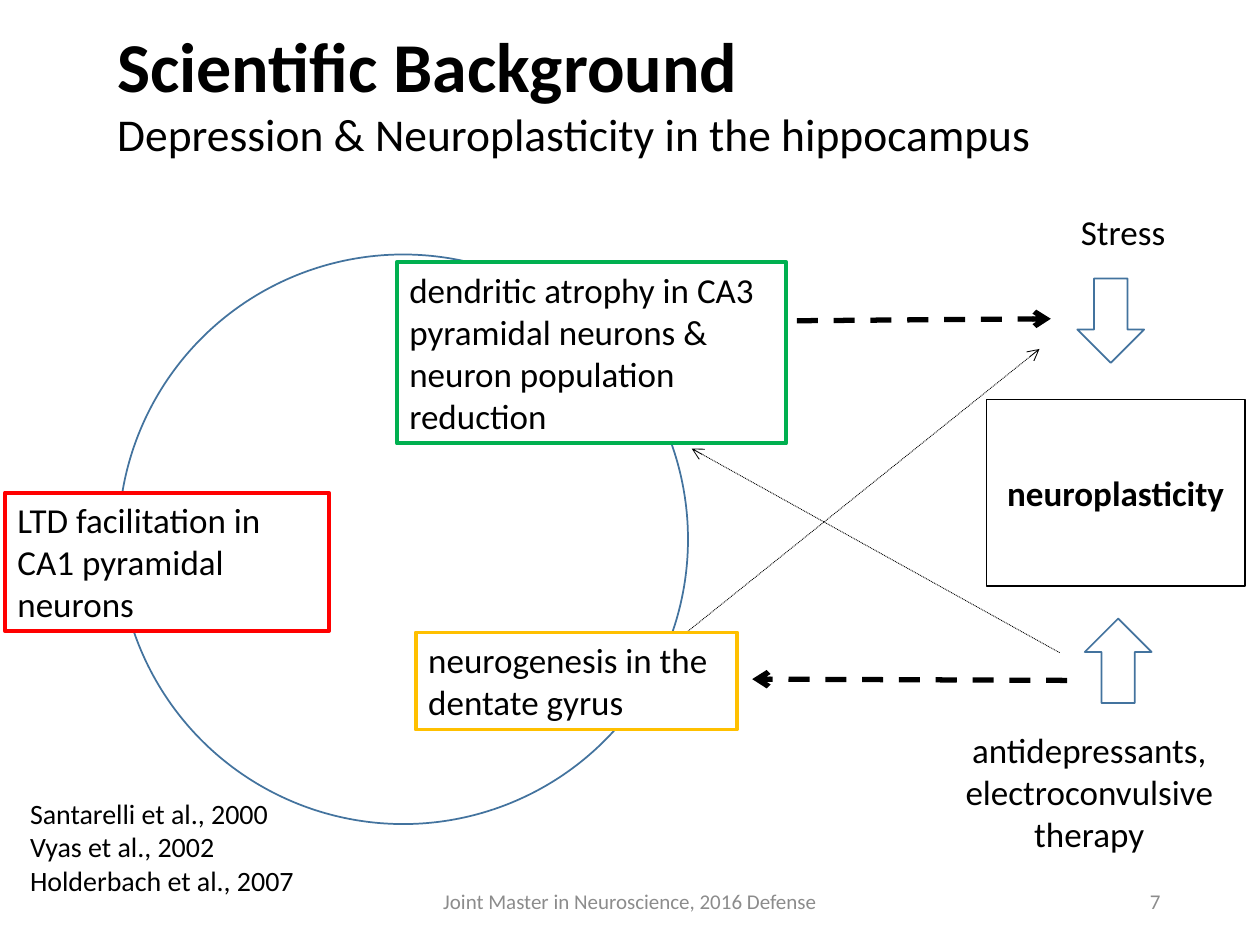
from dataclasses import dataclass

from lxml import etree
from pptx import Presentation
from pptx.dml.color import RGBColor
from pptx.enum.dml import MSO_LINE
from pptx.enum.shapes import MSO_CONNECTOR, MSO_SHAPE
from pptx.enum.text import MSO_ANCHOR, MSO_AUTO_SIZE, PP_ALIGN
from pptx.oxml.ns import qn
from pptx.util import Inches, Pt

LEFT, CENTER, RIGHT = PP_ALIGN.LEFT, PP_ALIGN.CENTER, PP_ALIGN.RIGHT
TOP, MIDDLE = MSO_ANCHOR.TOP, MSO_ANCHOR.MIDDLE
GROW, FIXED = MSO_AUTO_SIZE.SHAPE_TO_FIT_TEXT, MSO_AUTO_SIZE.NONE
DASH, DOT = MSO_LINE.DASH, MSO_LINE.ROUND_DOT
RECT, OVAL, ARROW = MSO_SHAPE.RECTANGLE, MSO_SHAPE.OVAL, MSO_SHAPE.UP_ARROW
STRAIGHT = MSO_CONNECTOR.STRAIGHT


@dataclass
class Theme:
    font: str = "Calibri"
    ink: str = "000000"
    paper: str = "FFFFFF"
    gray: str = "8C8C8C"
    blue: str = "43739E"
    red: str = "FF0000"
    green: str = "00B050"
    gold: str = "FFC000"
    head: int = 40
    sub: int = 26
    body: int = 20
    cite: int = 16
    foot: int = 12


def tint(code):
    return RGBColor.from_string(code)


class Page:
    def __init__(self, slide, theme):
        self.slide = slide
        self.theme = theme

    def style(self, run, size, color, bold=False):
        font = run.font
        font.name, font.size, font.bold = self.theme.font, Pt(size), bold
        font.color.rgb = tint(color)

    def label(self, shape, text, size, color=None, align=LEFT, anchor=TOP,
              fit=GROW, bold=False):
        frame = shape.text_frame
        frame.text = text
        frame.word_wrap = True
        frame.auto_size = fit
        frame.vertical_anchor = anchor
        for para in frame.paragraphs:
            para.alignment = align
            for run in para.runs:
                self.style(run, size, color or self.theme.ink, bold)

    def title(self, box, head, sub):
        theme = self.theme
        shape = self.slide.shapes.title
        shape.left, shape.top, shape.width, shape.height = map(Inches, box)
        self.label(shape, f"{head}\v{sub}", theme.sub, anchor=MIDDLE, fit=FIXED)
        self.style(shape.text_frame.paragraphs[0].runs[0],
                   theme.head, theme.ink, True)

    def text(self, box, text, size, **look):
        shape = self.slide.shapes.add_textbox(*map(Inches, box))
        self.label(shape, text, size, **look)

    def shape(self, kind, box, color, width=1, fill=None, turn=0):
        shape = self.slide.shapes.add_shape(kind, *map(Inches, box))
        shape.shadow.inherit = False
        shape.rotation = turn
        shape.line.color.rgb = tint(color)
        shape.line.width = Pt(width)
        if fill:
            shape.fill.solid()
            shape.fill.fore_color.rgb = tint(fill)
        else:
            shape.fill.background()
        return shape

    def box(self, box, text, color, width=2.25, **look):
        shape = self.shape(RECT, box, color, width, self.theme.paper)
        self.label(shape, text, self.theme.body, **look)

    def arrow(self, start, end, width, dash):
        link = self.slide.shapes.add_connector(
            STRAIGHT, *map(Inches, start + end))
        link.line.color.rgb = tint(self.theme.ink)
        link.line.width = Pt(width)
        link.line.dash_style = dash
        props = link.element.spPr
        etree.SubElement(props.find(qn("a:ln")), qn("a:tailEnd"), type="arrow")
        etree.SubElement(props, qn("a:effectLst"))


def main():
    deck = Presentation()
    deck.slide_width, deck.slide_height = Inches(10), Inches(7.5)
    theme = Theme()
    page = Page(deck.slides.add_slide(deck.slide_layouts[5]), theme)

    page.title((0.83, 0, 8.63, 1.45), "Scientific Background",
               "Depression & Neuroplasticity in the hippocampus")

    page.arrow((5.74, 2.55), (8.34, 2.53), 3, DASH)
    page.shape(OVAL, (0.94, 2.02, 4.52, 4.52), theme.blue)
    page.shape(ARROW, (8.61, 4.91, 0.53, 0.67), theme.blue)
    page.shape(ARROW, (8.55, 2.21, 0.53, 0.67), theme.blue, turn=180)

    page.text((7.12, 5.73, 3.05, 1.1),
              "antidepressants, electroconvulsive therapy",
              theme.body, align=CENTER)
    page.text((8.48, 1.62, 2.07, 0.44), "Stress", theme.body)
    foot = dict(size=theme.foot, color=theme.gray, anchor=MIDDLE, fit=FIXED)
    page.text((7.06, 6.95, 2.25, 0.4), "7", align=RIGHT, **foot)
    page.text((3.31, 6.95, 3.38, 0.4),
              "Joint Master in Neuroscience, 2016 Defense",
              align=CENTER, **foot)
    page.box((7.83, 3.17, 2.05, 1.48), "neuroplasticity", theme.ink, 1,
             align=CENTER, anchor=MIDDLE, fit=FIXED, bold=True)
    page.text((0.14, 6.27, 2.94, 0.9),
              "Santarelli et al., 2000\nVyas et al., 2002\n"
              "Holderbach et al., 2007", theme.cite)

    page.arrow((8.41, 5.18), (5.49, 3.56), 0.5, DOT)
    page.arrow((5.46, 5.01), (8.25, 2.77), 0.5, DOT)
    page.arrow((8.47, 5.4), (5.97, 5.39), 3, DASH)

    page.box((3.3, 5.02, 2.55, 0.77), "neurogenesis in the dentate gyrus",
             theme.gold)
    page.box((0.04, 3.91, 2.57, 1.1),
             "LTD facilitation in CA1 pyramidal neurons", theme.red)
    page.box((3.15, 2.08, 3.09, 1.44),
             "dendritic atrophy in CA3 pyramidal neurons &\n"
             "neuron population reduction", theme.green)

    deck.save("out.pptx")


if __name__ == "__main__":
    main()
